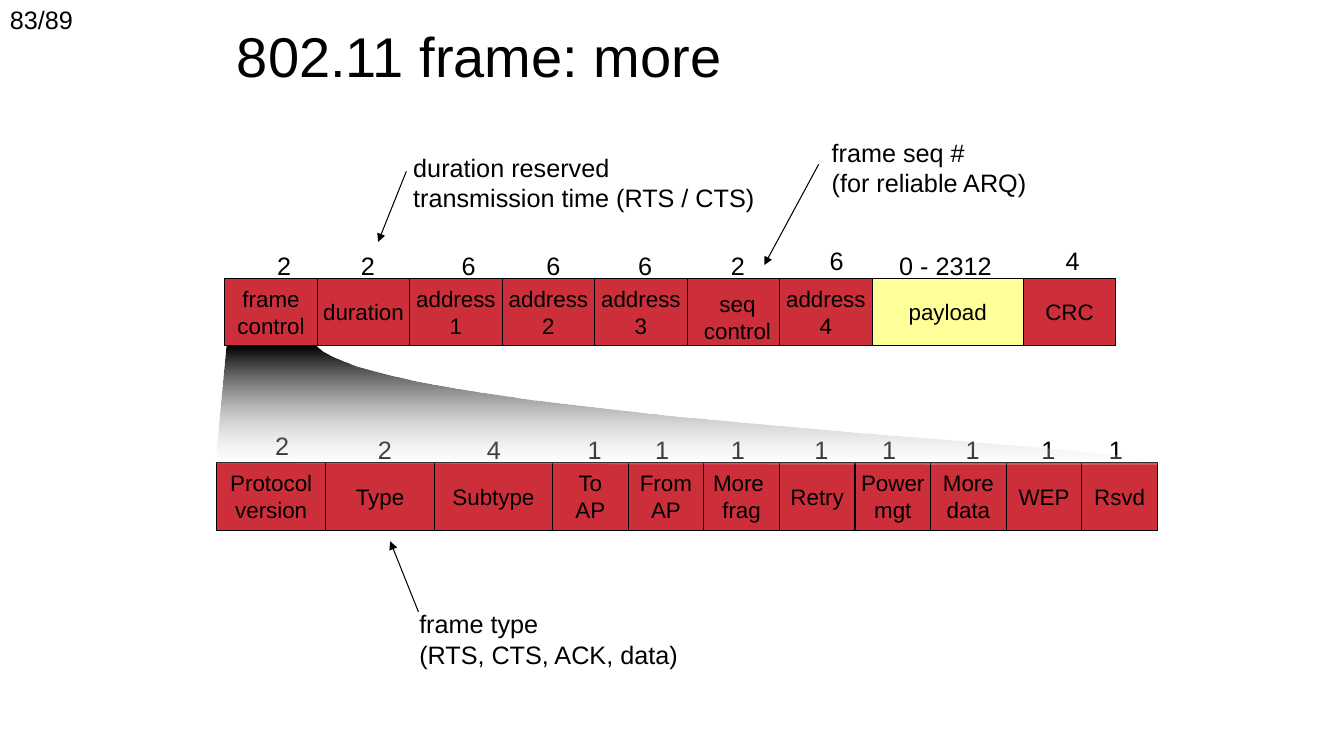
from lxml.etree import SubElement
from pptx import Presentation
from pptx.dml.color import RGBColor
from pptx.enum.shapes import MSO_CONNECTOR, MSO_SHAPE
from pptx.enum.text import MSO_ANCHOR, MSO_AUTO_SIZE, PP_ALIGN
from pptx.oxml.ns import qn
from pptx.util import Inches, Pt

COLORS = {"ink": "000000", "red": "CC2F3A", "pale": "FFFF99"}
INK = RGBColor.from_string(COLORS["ink"])

prs = Presentation()
prs.slide_width, prs.slide_height = Inches(13.33), Inches(7.5)
slide = prs.slides.add_slide(prs.slide_layouts[5])
shapes = slide.shapes


def write(shape, text, size, align=PP_ALIGN.LEFT, anchor=MSO_ANCHOR.MIDDLE, wrap=False):
    """Put one paragraph per line of text into the shape and style them all."""
    frame = shape.text_frame
    frame.text = text
    frame.word_wrap = wrap
    frame.vertical_anchor = anchor
    for para in frame.paragraphs:
        para.alignment = align
        para.font.size = Pt(size)
        para.font.name = "Arial"
        para.font.color.rgb = INK


def label(text, left, top, width, height, size=18, align=PP_ALIGN.LEFT, wrap=False):
    box = shapes.add_textbox(Inches(left), Inches(top), Inches(width), Inches(height))
    write(box, text, size, align, MSO_ANCHOR.TOP, wrap)
    box.text_frame.auto_size = MSO_AUTO_SIZE.NONE if wrap else MSO_AUTO_SIZE.SHAPE_TO_FIT_TEXT


# Title
title = shapes.title
title.left, title.top, title.width, title.height = (
    Inches(2.25), Inches(0.25), Inches(8.5), Inches(0.59))
write(title, "802.11 frame: more", 40, wrap=True)

# Field rows: left, top, then (text, width) of each field
unit = 6.42 / 7
frame_row = [("frame\ncontrol", unit), ("duration", unit), ("address\n1", unit),
             ("address\n2", unit), ("address\n3", unit), ("", unit),
             ("address\n4", unit), ("payload", 1.5), ("CRC", unit)]
control_row = [("Protocol\nversion", 1.08), ("Type", 1.08), ("Subtype", 1.17)] + [
    (name, 0.75) for name in ("To\nAP", "From\nAP", "More \nfrag", "Retry",
                              "Power\nmgt", "More\ndata", "WEP", "Rsvd")]
for left, top, row in ((2.23, 2.76, frame_row), (2.15, 4.59, control_row)):
    for text, width in row:
        cell = shapes.add_shape(MSO_SHAPE.RECTANGLE, Inches(left), Inches(top),
                                Inches(width), Inches(0.67))
        cell.shadow.inherit = False
        cell.fill.solid()
        fill = "pale" if text == "payload" else "red"
        cell.fill.fore_color.rgb = RGBColor.from_string(COLORS[fill])
        cell.line.color.rgb = INK
        cell.line.width = Pt(0.75)
        if text:
            write(cell, text, 16, PP_ALIGN.CENTER)
        left += width
label("seq\ncontrol", 6.88, 2.83, 0.87, 0.64, 16, PP_ALIGN.CENTER)

# Field lengths: text, left, top
byte_tops = [("2", 2.65, 2.43), ("2", 3.48, 2.43), ("6", 4.48, 2.43), ("6", 5.32, 2.43),
             ("6", 6.23, 2.43), ("2", 7.15, 2.43), ("6", 8.13, 2.38),
             ("0 - 2312", 8.82, 2.43), ("4", 10.47, 2.38)]
bit_tops = [("2", 2.63, 4.22), ("2", 3.65, 4.26), ("4", 4.73, 4.26)] + [
    ("1", left, 4.26) for left in (5.73, 6.4, 7.15, 7.98, 8.65, 9.48, 10.23, 10.9)]
for text, left, top in byte_tops + bit_tops:
    label(text, left, top, 0.34 if len(text) == 1 else 1.12, 0.4)

# Fading zoom from frame control to its own fields
curve = [(11.5, 4.61), (11.67, 4.41), (3.83, 4.15), (3.15, 3.44)]
steps = 40
points = [(2.14, 4.59)]
for step in range(steps + 1):
    t = step / steps
    parts = ((1 - t) ** 3, 3 * t * (1 - t) ** 2, 3 * t ** 2 * (1 - t), t ** 3)
    points.append(tuple(sum(p * point[axis] for p, point in zip(parts, curve))
                        for axis in (0, 1)))
pen = shapes.build_freeform(Inches(2.25), Inches(3.44))
pen.add_line_segments([(Inches(x), Inches(y)) for x, y in points], close=True)
zoom = pen.convert_to_shape()
zoom.shadow.inherit = False
zoom.line.fill.background()
zoom.fill.gradient()
zoom.fill.gradient_angle = 270
for stop, shade in zip(zoom.fill.gradient_stops, ("000000", "FFFFFF")):
    stop.color.rgb = RGBColor.from_string(shade)
    stop.position = 0 if shade == "000000" else 1
last = list(zoom.element.spPr.iter(qn("a:srgbClr")))[1]
SubElement(last, qn("a:alpha"), val="18000")

# Notes and their arrows
label("duration reserved\ntransmission time (RTS / CTS)", 4, 1.46, 3.62, 0.71)
label("frame seq #\n(for reliable ARQ)", 8.15, 1.31, 2.19, 0.71)
label("frame type\n(RTS, CTS, ACK, data)", 4.06, 5.99, 2.82, 0.7)
for ends in ((4.03, 1.7, 3.75, 2.4), (8.12, 1.63, 7.58, 2.63), (4.15, 6.07, 3.87, 5.37)):
    arrow = shapes.add_connector(MSO_CONNECTOR.STRAIGHT, *[Inches(end) for end in ends])
    arrow.line.color.rgb = INK
    arrow.line.width = Pt(0.75)
    SubElement(arrow.line._get_or_add_ln(), qn("a:tailEnd"), type="triangle")
    SubElement(arrow.element.spPr, qn("a:effectLst"))

label("83/89", 0, -0.01, 1.38, 0.5, wrap=True)

prs.save("out.pptx")
